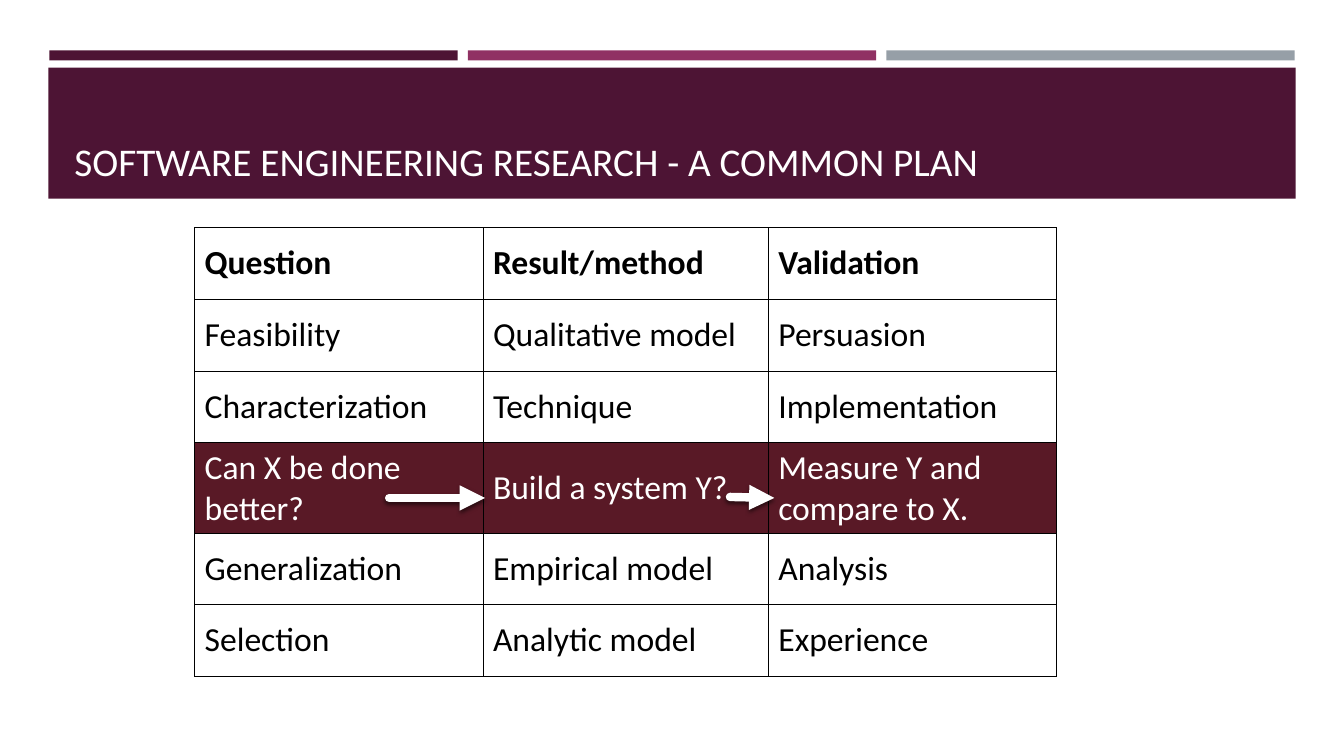
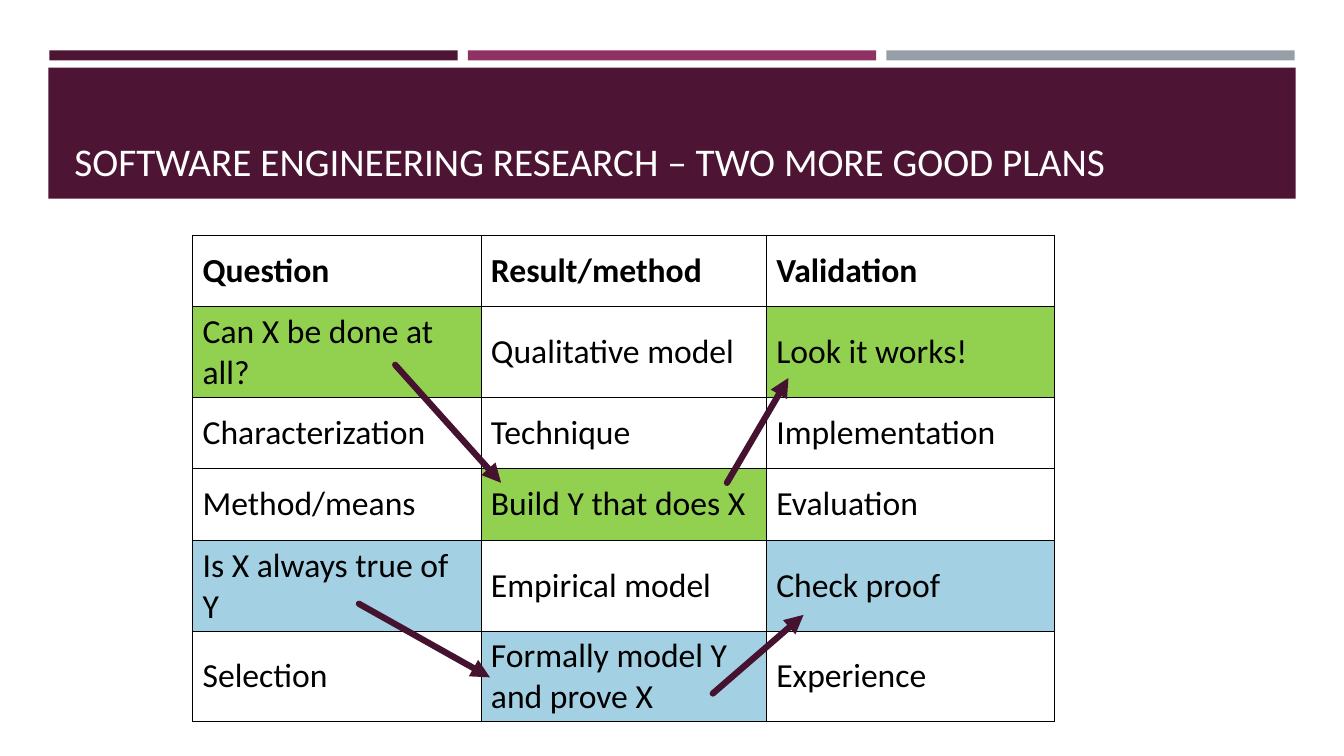
from lxml.etree import SubElement
from pptx import Presentation
from pptx.dml.color import RGBColor
from pptx.enum.shapes import MSO_CONNECTOR, MSO_SHAPE
from pptx.enum.text import MSO_ANCHOR
from pptx.oxml import parse_xml
from pptx.oxml.ns import nsdecls, qn
from pptx.util import Inches, Pt

FONT = "Calibri"
PLUM = RGBColor(0x4D, 0x14, 0x34)
MAGENTA = RGBColor(0x90, 0x31, 0x63)
GREY = RGBColor(0x96, 0x9F, 0xA7)
WINE = RGBColor(0x59, 0x19, 0x26)
DARK_PLUM = RGBColor(0x45, 0x12, 0x2F)
GREEN = RGBColor(0x92, 0xD0, 0x50)
BLUE = RGBColor(0xA3, 0xD0, 0xE2)
WHITE = RGBColor(0xFF, 0xFF, 0xFF)
BLACK = RGBColor(0x00, 0x00, 0x00)

COLUMN_WIDTHS = (2.86, 2.83, 2.86)
ROW_HEIGHT = 0.71
BAR_LEFT, BAR_WIDTH, BAR_STEP = 0.49, 4.05, 4.15
HEADER = ("Question", "Result/method", "Validation")

SHADOW = (
    f'<a:effectLst {nsdecls("a")}><a:outerShdw blurRad="{Pt(3)}" dist="{Pt(2)}" '
    'dir="5400000" rotWithShape="0"><a:srgbClr val="000000"><a:alpha val="55000"/>'
    "</a:srgbClr></a:outerShdw></a:effectLst>"
)
NO_SHADOW = f'<a:effectLst {nsdecls("a")}/>'
BORDER = (
    '<a:{side} {namespace} w="{width}"><a:solidFill><a:srgbClr val="{color}"/>'
    "</a:solidFill></a:{side}>"
)

# Each plan: title, table corner, rows, cell fills by (row, column), text color of
# filled cells, and arrows with their color, width and effect
PLANS = [
    {
        "title": "SOFTWARE ENGINEERING RESEARCH - A COMMON PLAN",
        "corner": (1.93, 2.26),
        "rows": [
            HEADER,
            ("Feasibility", "Qualitative model", "Persuasion"),
            ("Characterization", "Technique", "Implementation"),
            ("Can X be done better?", "Build a system Y?", "Measure Y and compare to X."),
            ("Generalization", "Empirical model", "Analysis"),
            ("Selection", "Analytic model", "Experience"),
        ],
        "fills": {(3, 0): WINE, (3, 1): WINE, (3, 2): WINE},
        "filled_text": WHITE,
        "arrows": [(3.86, 4.94, 4.81, 4.94), (7.24, 4.93, 7.68, 4.94)],
        "arrow_style": (WHITE, 6, SHADOW),
    },
    {
        "title": "SOFTWARE ENGINEERING RESEARCH – TWO MORE GOOD PLANS",
        "corner": (1.91, 2.33),
        "rows": [
            HEADER,
            ("Can X be done at all?", "Qualitative model", "Look it works!"),
            ("Characterization", "Technique", "Implementation"),
            ("Method/means", "Build Y that does X", "Evaluation"),
            ("Is X always true of Y", "Empirical model", "Check proof"),
            ("Selection", "Formally model Y and prove X", "Experience"),
        ],
        "fills": {
            (1, 0): GREEN, (3, 1): GREEN, (1, 2): GREEN,
            (4, 0): BLUE, (5, 1): BLUE, (4, 2): BLUE,
        },
        "filled_text": BLACK,
        "arrows": [
            (3.92, 3.62, 4.97, 4.79), (7.21, 4.79, 7.82, 3.75),
            (3.56, 5.99, 4.86, 6.72), (7.07, 6.88, 7.97, 6.1),
        ],
        "arrow_style": (DARK_PLUM, 4.5, NO_SHADOW),
    },
]


def add_band(slide, left, top, width, height, color):
    band = slide.shapes.add_shape(
        MSO_SHAPE.RECTANGLE, Inches(left), Inches(top), Inches(width), Inches(height))
    band.shadow.inherit = False
    band.fill.solid()
    band.fill.fore_color.rgb = color
    band.line.fill.background()


def style_text(paragraph, text, size, color, bold=False):
    paragraph.text = text
    paragraph.font.name = FONT
    paragraph.font.size = Pt(size)
    paragraph.font.bold = bold
    paragraph.font.color.rgb = color


presentation = Presentation()
presentation.slide_width = Inches(13.33)
presentation.slide_height = Inches(7.5)

for plan in PLANS:
    slide = presentation.slides.add_slide(presentation.slide_layouts[6])

    # Bands and title
    for position, color in enumerate((PLUM, MAGENTA, GREY)):
        add_band(slide, BAR_LEFT + position * BAR_STEP, 0.5, BAR_WIDTH, 0.1, color)
    add_band(slide, 0.48, 0.67, 12.37, 1.3, PLUM)
    title = slide.shapes.add_textbox(Inches(0.64), Inches(0.77), Inches(12.06), Inches(1.11))
    title.text_frame.word_wrap = True
    title.text_frame.vertical_anchor = MSO_ANCHOR.BOTTOM
    style_text(title.text_frame.paragraphs[0], plan["title"], 28, WHITE)

    # Table
    rows = plan["rows"]
    left, top = plan["corner"]
    table = slide.shapes.add_table(
        len(rows), len(HEADER), Inches(left), Inches(top),
        Inches(sum(COLUMN_WIDTHS)), Inches(ROW_HEIGHT * len(rows))).table
    table.first_row = False
    table.horz_banding = False
    for column, width in zip(table.columns, COLUMN_WIDTHS):
        column.width = Inches(width)
    for row_index, texts in enumerate(rows):
        table.rows[row_index].height = Inches(ROW_HEIGHT)
        for column_index, text in enumerate(texts):
            cell = table.cell(row_index, column_index)
            cell.vertical_anchor = MSO_ANCHOR.MIDDLE
            properties = cell._tc.get_or_add_tcPr()
            for side in ("lnL", "lnR", "lnT", "lnB"):
                properties.append(parse_xml(BORDER.format(
                    side=side, namespace=nsdecls("a"), width=Pt(0.5), color=BLACK)))
            fill = plan["fills"].get((row_index, column_index))
            if fill is None:
                cell.fill.background()
            else:
                cell.fill.solid()
                cell.fill.fore_color.rgb = fill
            paragraph = cell.text_frame.paragraphs[0]
            paragraph.space_before = paragraph.space_after = Pt(6)
            text_color = BLACK if fill is None else plan["filled_text"]
            style_text(paragraph, text, 24, text_color, bold=row_index == 0)

    # Arrows
    color, width, effect = plan["arrow_style"]
    for ends in plan["arrows"]:
        arrow = slide.shapes.add_connector(MSO_CONNECTOR.STRAIGHT, *map(Inches, ends))
        arrow.line.color.rgb = color
        arrow.line.width = Pt(width)
        outline = arrow.line._get_or_add_ln()
        outline.set("cap", "rnd")
        SubElement(outline, qn("a:tailEnd"), type="triangle")
        arrow._element.spPr.append(parse_xml(effect))

presentation.save("out.pptx")
